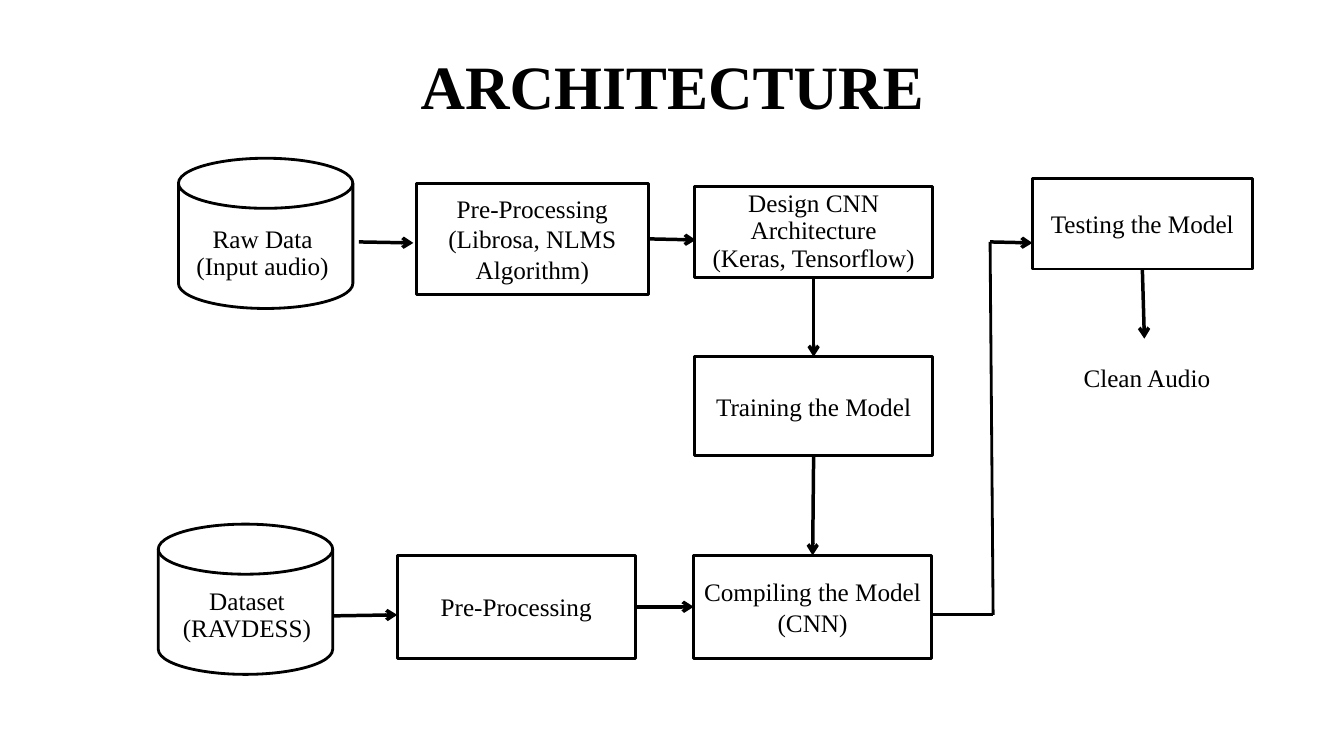
from lxml.etree import SubElement
from pptx import Presentation
from pptx.dml.color import RGBColor
from pptx.enum.shapes import MSO_CONNECTOR, MSO_SHAPE
from pptx.enum.text import MSO_ANCHOR, PP_ALIGN
from pptx.oxml.ns import qn
from pptx.util import Inches, Pt

COLORS = {"ink": "000000", "paper": "FFFFFF"}
FONT = "Times New Roman"
PLAIN_TABLE = "{2D5ABB26-0587-4C30-8999-92F81FD0307C}"
TOP, LEFT, BOTTOM, RIGHT = range(4)


def color(name):
    """Return the named colour."""
    return RGBColor.from_string(COLORS[name])


def write(frame, text, size=18, bold=False, spacing=1.0):
    """Fill a text frame with centred paragraphs, one per line of text."""
    frame.word_wrap = True
    for index, line in enumerate(text.split("\n")):
        para = frame.paragraphs[0] if index == 0 else frame.add_paragraph()
        para.alignment = PP_ALIGN.CENTER
        para.line_spacing = spacing
        span = para.add_run()
        span.text = line
        span.font.name = FONT
        span.font.size = Pt(size)
        span.font.bold = bold
        span.font.color.rgb = color("ink")


class Diagram:
    """Draws flow diagram elements on the current slide."""

    def __init__(self, page):
        """Keep the slide and the line widths."""
        self.page = page
        self.outline = Pt(2)
        self.arrow_line = Pt(2.5)

    def title(self, text, left, top, width, height):
        """Place and fill the title placeholder."""
        box = self.page.shapes.title
        box.left, box.top = Inches(left), Inches(top)
        box.width, box.height = Inches(width), Inches(height)
        box.text_frame.vertical_anchor = MSO_ANCHOR.MIDDLE
        write(box.text_frame, text, size=44, bold=True)

    def shape(self, kind, left, top, width, height):
        """Add an outlined shape."""
        box = self.page.shapes.add_shape(
            kind, Inches(left), Inches(top), Inches(width), Inches(height))
        box.shadow.inherit = False
        box.fill.solid()
        box.fill.fore_color.rgb = color("paper")
        box.line.color.rgb = color("ink")
        box.line.width = self.outline
        return box

    def step(self, text, left, top, width, height, spacing=1.0):
        """Add a labelled process box."""
        box = self.shape(MSO_SHAPE.RECTANGLE, left, top, width, height)
        frame = box.text_frame
        frame.vertical_anchor = MSO_ANCHOR.MIDDLE
        frame.margin_top = frame.margin_bottom = 0
        write(frame, text, spacing=spacing)
        return box

    def store(self, left, top):
        """Add a data store cylinder."""
        return self.shape(MSO_SHAPE.FLOWCHART_MAGNETIC_DISK, left, top, 1.73, 1.49)

    def label(self, text, left, top, width, height):
        """Add a borderless one-cell table holding a label."""
        table = self.page.shapes.add_table(
            1, 1, Inches(left), Inches(top), Inches(width), Inches(height)).table
        table.first_row = table.horz_banding = False
        table._tbl.tblPr.find(qn("a:tableStyleId")).text = PLAIN_TABLE
        cell = table.cell(0, 0)
        cell.fill.background()
        write(cell.text_frame, text, spacing=0.95)

    def link(self, start, end, begin=None, finish=None, arrow=True):
        """Add a straight line, joined to any given (box, side) pairs."""
        line = self.page.shapes.add_connector(
            MSO_CONNECTOR.STRAIGHT, *(Inches(value) for value in (*start, *end)))
        if begin:
            line.begin_connect(*begin)
        if finish:
            line.end_connect(*finish)
        line.line.color.rgb = color("ink")
        line.line.width = self.arrow_line if arrow else self.outline
        if arrow:
            SubElement(line.line._get_or_add_ln(), qn("a:tailEnd"), type="arrow")
        SubElement(line._element.spPr, qn("a:effectLst"))


def main():
    """Build the architecture slide."""
    deck = Presentation()
    deck.slide_width, deck.slide_height = Inches(13.33), Inches(7.5)
    page = deck.slides.add_slide(deck.slide_layouts[5])
    diagram = Diagram(page)
    diagram.title("ARCHITECTURE", 0.67, 0.3, 12, 1.09)

    diagram.store(1.77, 1.57)
    diagram.label("Raw Data\n(Input audio)", 1.66, 2.21, 1.89, 0.65)
    diagram.store(1.57, 5.2)
    diagram.label("Dataset (RAVDESS)", 1.6, 5.8, 1.7, 0.65)

    cleaning = diagram.step(
        "Pre-Processing\n(Librosa, NLMS Algorithm)", 4.13, 1.82, 2.3, 1.1)
    design = diagram.step(
        "Design CNN Architecture\n(Keras, Tensorflow)", 6.89, 1.85, 2.36, 0.9,
        spacing=0.9)
    training = diagram.step("Training the Model", 6.89, 3.54, 2.36, 0.98)
    preparing = diagram.step("Pre-Processing", 3.94, 5.51, 2.36, 1.02)
    compiling = diagram.step("Compiling the Model\n(CNN)", 6.88, 5.51, 2.36, 1.02)
    testing = diagram.step("Testing the Model", 10.24, 1.77, 2.18, 0.9)
    diagram.label("Clean Audio", 10.1, 3.58, 2.55, 0.6)

    diagram.link((3.56, 2.4), (4.1, 2.41))
    diagram.link((6.43, 2.37), (6.9, 2.38), begin=(cleaning, RIGHT))
    diagram.link((8.07, 2.75), (8.07, 3.54), (design, BOTTOM), (training, TOP))
    diagram.link((8.07, 4.52), (8.06, 5.51), (training, BOTTOM), (compiling, TOP))
    diagram.link((3.3, 6.11), (3.94, 6.1))
    diagram.link((6.3, 6.02), (6.88, 6.02), (preparing, RIGHT), (compiling, LEFT))
    diagram.link((9.25, 6.1), (9.85, 6.1), arrow=False)
    diagram.link((9.82, 2.4), (9.85, 6.1), arrow=False)
    diagram.link((9.82, 2.4), (10.24, 2.41))
    diagram.link((11.33, 2.67), (11.35, 3.36), begin=(testing, BOTTOM))
    deck.save("out.pptx")


if __name__ == "__main__":
    main()
